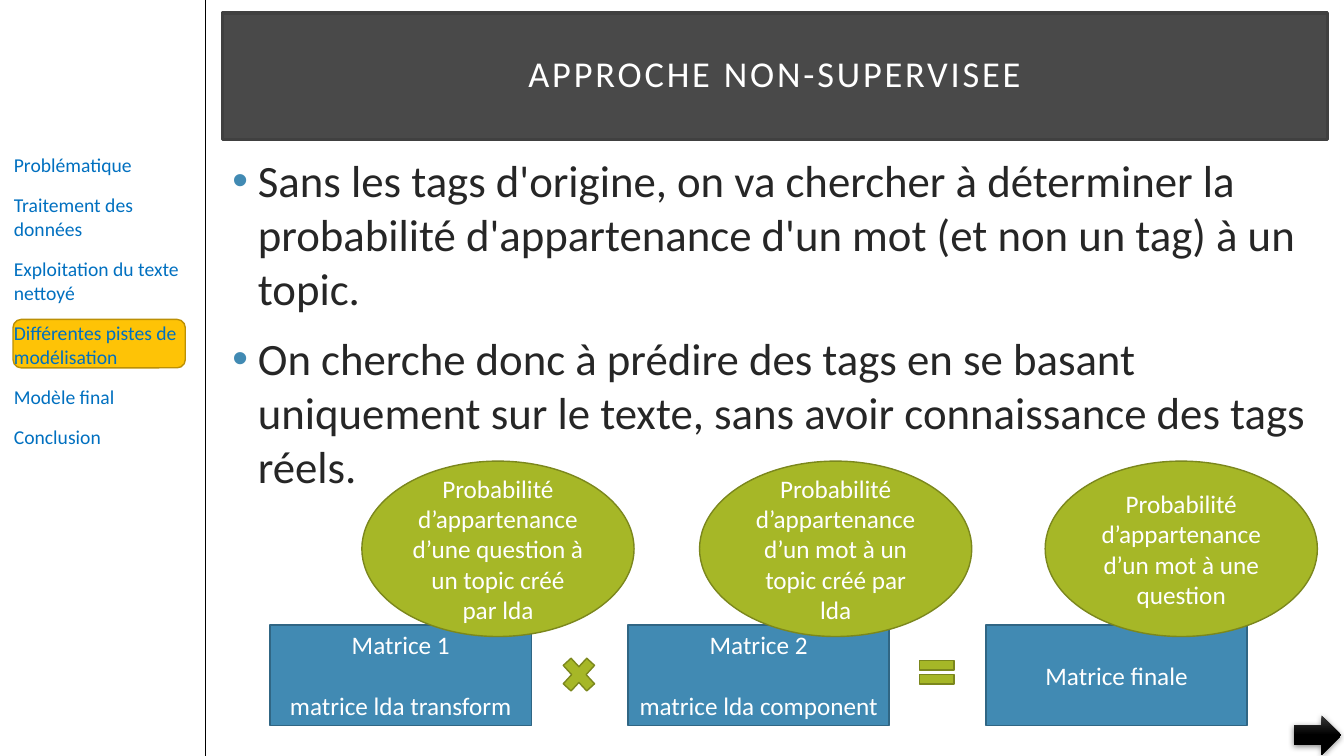
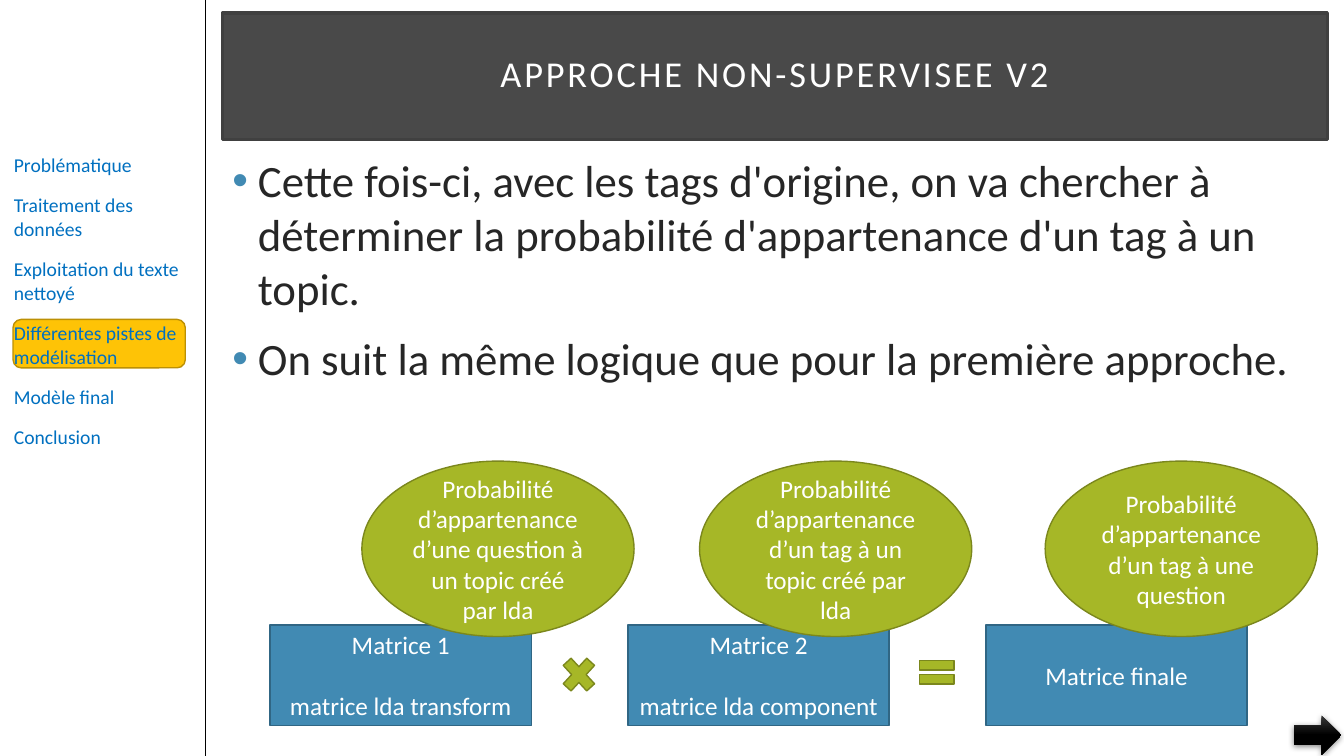
import pptx
import pptx.dml.color
import pptx.enum.shapes
import pptx.enum.text
import pptx.oxml
import pptx.oxml.ns
import pptx.util

Cm = pptx.util.Cm
Pt = pptx.util.Pt
SHAPE = pptx.enum.shapes.MSO_SHAPE
ALIGN = pptx.enum.text.PP_ALIGN
ANCHOR = pptx.enum.text.MSO_ANCHOR
AUTO_SIZE = pptx.enum.text.MSO_AUTO_SIZE

SLIDE_WIDTH, SLIDE_HEIGHT = 33.87, 19.05
CONTENT_LEFT, CONTENT_WIDTH, CONTENT_TOP = 5.61, 27.84, 3.73


def color(hex_value):
    return pptx.dml.color.RGBColor.from_string(hex_value)


def add_xml(parent, tag, content="", **attributes):
    values = " ".join(f'{name}="{value}"' for name, value in attributes.items())
    namespace = pptx.oxml.ns.nsdecls("a")
    element = pptx.oxml.parse_xml(f"<a:{tag} {namespace} {values}>{content}</a:{tag}>")
    parent.append(element)


def set_attributes(target, values):
    for name, value in values.items():
        setattr(target, name, value)


class Deck:
    font = "Calibri"
    blue = ("418AB3", "306684")
    green = ("A6B727", "7B871D")
    yellow = ("FEC306", "BC9004")
    dark = ("0D0D0D", "404040")
    label = {"size": 18, "color": "FFFFFF"}
    centered = {"alignment": ALIGN.CENTER}
    spaced = {"space_before": Pt(6), "space_after": Pt(6)}

    def __init__(self):
        self.presentation = pptx.Presentation()
        set_attributes(self.presentation, {
            "slide_width": Cm(SLIDE_WIDTH), "slide_height": Cm(SLIDE_HEIGHT)})
        self.slide = None

    def add_slide(self):
        layout = self.presentation.slide_layouts.get_by_name("Title Only")
        self.slide = self.presentation.slides.add_slide(layout)

    def paint(self, shape, colors, width=1):
        fill, line = colors
        shape.fill.solid()
        shape.fill.fore_color.rgb = color(fill)
        shape.line.color.rgb = color(line)
        shape.line.width = Pt(width)

    def fill_text(self, shape, lines, text_format, paragraph_format, **frame_format):
        frame = shape.text_frame
        set_attributes(frame, {"word_wrap": True, "auto_size": AUTO_SIZE.NONE, **frame_format})
        frame.text = "\n".join(lines)
        for paragraph in frame.paragraphs:
            set_attributes(paragraph, paragraph_format)
            font = paragraph.runs[0].font
            set_attributes(font, {"name": self.font, "size": Pt(text_format["size"])})
            font.color.rgb = color(text_format["color"])
        return frame.paragraphs

    def title(self, text):
        shape = self.slide.shapes.title
        set_attributes(shape, {"left": Cm(CONTENT_LEFT), "top": Cm(0.33),
                               "width": Cm(CONTENT_WIDTH), "height": Cm(3.18)})
        self.paint(shape, self.dark, 2.5)
        fill_color = shape._element.spPr.find(".//" + pptx.oxml.ns.qn("a:srgbClr"))
        add_xml(fill_color, "alpha", val=75000)
        margins = {f"margin_{side}": Cm(0.5) for side in ("left", "top", "right", "bottom")}
        paragraphs = self.fill_text(shape, [text], {"size": 26, "color": "FFFFFF"},
                                    {**self.centered, "line_spacing": 0.9},
                                    vertical_anchor=ANCHOR.MIDDLE, **margins)
        paragraphs[0].runs[0]._r.get_or_add_rPr().set("spc", "200")

    def shape(self, kind, left, top, width, height, colors):
        shape = self.slide.shapes.add_shape(kind, Cm(left), Cm(top), Cm(width), Cm(height))
        shape.shadow.inherit = False
        if colors:
            self.paint(shape, colors)
        return shape

    def labelled(self, kind, left, top, width, height, colors, lines):
        shape = self.shape(kind, left, top, width, height, colors)
        paragraphs = self.fill_text(shape, lines, self.label, self.centered,
                                    vertical_anchor=ANCHOR.MIDDLE)
        for paragraph in paragraphs[1:]:
            paragraph.space_before = Pt(22)

    def text(self, left, top, width, height, lines, text_format):
        box = self.slide.shapes.add_textbox(Cm(left), Cm(top), Cm(width), Cm(height))
        return self.fill_text(box, lines, text_format, self.spaced)

    def bullets(self, lines):
        paragraphs = self.text(CONTENT_LEFT, CONTENT_TOP, CONTENT_WIDTH, 15, lines,
                               {"size": 32, "color": "262626"})
        for paragraph in paragraphs:
            properties = paragraph._p.get_or_add_pPr()
            properties.set("marL", str(Cm(0.64)))
            properties.set("indent", str(Cm(-0.64)))
            add_xml(properties, "buClr", f'<a:srgbClr val="{self.blue[0]}"/>')
            add_xml(properties, "buFont", typeface="Arial")
            add_xml(properties, "buChar", char="•")

    def vertical_line(self, left):
        line = self.slide.shapes.add_connector(
            pptx.enum.shapes.MSO_CONNECTOR.STRAIGHT, Cm(left), 0, Cm(left), Cm(SLIDE_HEIGHT))
        line.line.color.rgb = color("000000")
        line.line.width = Pt(1)
        add_xml(line._element.spPr, "effectLst")

    def sidebar(self, sections):
        self.shape(SHAPE.ROUNDED_RECTANGLE, 0.33, 8.05, 4.34, 1.22, self.yellow)
        self.vertical_line(5.18)
        self.text(0.1, CONTENT_TOP, 4.9, 7.95, sections, {"size": 14, "color": "0070C0"})

    def next_arrow(self):
        arrow = self.shape(SHAPE.RIGHT_ARROW, 32.61, 18.03, 1.19, 0.99, None)
        arrow.line.fill.background()
        arrow.fill.gradient()
        arrow.fill.gradient_angle = 270
        for stop, position, value in zip(arrow.fill.gradient_stops, (0, 0.5), ("393939", "000000")):
            stop.position = position
            stop.color.rgb = color(value)
        effects = arrow._element.spPr.find(pptx.oxml.ns.qn("a:effectLst"))
        add_xml(effects, "outerShdw", '<a:srgbClr val="000000"><a:alpha val="45000"/></a:srgbClr>',
                blurRad=Pt(4.4), dist=Pt(1.2), dir=5400000, rotWithShape=0)

    def matrix_product(self, matrices, meanings):
        for index, lines in enumerate(matrices):
            self.labelled(SHAPE.RECTANGLE, 6.81 + 9.02 * index, 15.75, 6.58, 2.54, self.blue, lines)
        for left, meaning in zip((9.12, 17.63, 26.34), meanings):
            self.labelled(SHAPE.OVAL, left, 11.62, 6.86, 4.42, self.green, [meaning])
        self.shape(SHAPE.MATH_MULTIPLY, 14.02, 16.38, 1.14, 1.24, self.green)
        self.shape(SHAPE.MATH_EQUAL, 23.01, 16.43, 1.19, 1.02, self.green)


# Shared content
SECTIONS = ["Problématique", "Traitement des données", "Exploitation du texte nettoyé",
            "Différentes pistes de modélisation", "Modèle final", "Conclusion"]
MATRICES = [["Matrice 1", "matrice lda transform"],
            ["Matrice 2", "matrice lda component"],
            ["Matrice finale"]]

# Title, unit being predicted and bullets of each slide
APPROACHES = [
    ("APPROCHE NON-SUPERVISEE", "mot", [
        "Sans les tags d'origine, on va chercher à déterminer la probabilité "
        "d'appartenance d'un mot (et non un tag) à un topic.",
        "On cherche donc à prédire des tags en se basant uniquement sur le texte, "
        "sans avoir connaissance des tags réels."]),
    ("APPROCHE NON-SUPERVISEE V2", "tag", [
        "Cette fois-ci, avec les tags d'origine, on va chercher à déterminer la probabilité "
        "d'appartenance d'un tag à un topic.",
        "On suit la même logique que pour la première approche."]),
]

# Slides
deck = Deck()
for title, unit, bullets in APPROACHES:
    deck.add_slide()
    deck.sidebar(SECTIONS)
    deck.title(title)
    deck.bullets(bullets)
    deck.matrix_product(MATRICES, [
        f"Probabilité d’appartenance {link}" for link in (
            "d’une question à un topic créé par lda",
            f"d’un {unit} à un topic créé par lda",
            f"d’un {unit} à une question")])
    deck.next_arrow()

deck.presentation.save("out.pptx")
